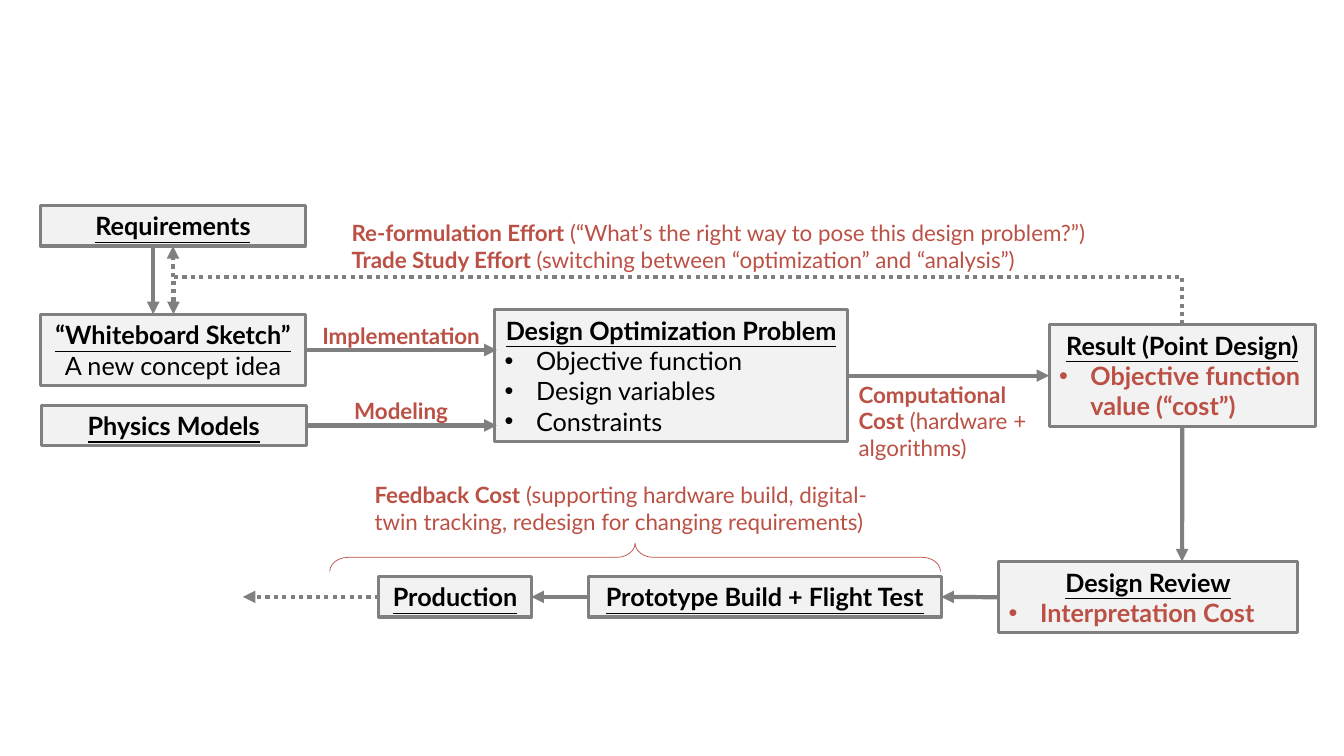
from lxml import etree
from pptx import Presentation
from pptx import util as u
from pptx.dml.color import RGBColor
from pptx.enum import dml, shapes, text
from pptx.oxml.ns import qn

COLORS = {"box": "F2F2F2", "line": "808080", "ink": "000000", "cost": "BB5045"}
FONT = "Lato"
TOP, LEFT, BOTTOM, RIGHT = range(4)


def color(name):
    return RGBColor.from_string(COLORS[name])


def style_run(run, size, ink, bold=False, underline=False):
    run.font.name = FONT
    run.font.size = u.Pt(size)
    run.font.bold = bold
    run.font.underline = underline
    run.font.color.rgb = color(ink)


def add_bullet(paragraph):
    properties = paragraph._p.get_or_add_pPr()
    properties.set("marL", str(u.Cm(0.79)))
    properties.set("indent", str(-u.Cm(0.79)))
    etree.SubElement(properties, qn("a:buFont")).set("typeface", "Arial")
    etree.SubElement(properties, qn("a:buChar")).set("char", "•")


def add_box(slide, place, title, details=(), bulleted=True, cost=False):
    """Draw a process step: an underlined title over its detail lines."""
    box = slide.shapes.add_shape(shapes.MSO_SHAPE.RECTANGLE, *map(u.Cm, place))
    box.shadow.inherit = False
    box.fill.solid()
    box.fill.fore_color.rgb = color("box")
    box.line.color.rgb = color("line")
    box.line.width = u.Pt(2.25)
    frame = box.text_frame
    frame.word_wrap = True
    frame.vertical_anchor = text.MSO_ANCHOR.MIDDLE
    frame.text = "\n".join([title, *details])
    heading, *rest = frame.paragraphs
    heading.alignment = text.PP_ALIGN.CENTER
    style_run(heading.runs[0], 18, "ink", bold=True, underline=True)
    for detail in rest:
        detail.alignment = text.PP_ALIGN.LEFT if bulleted else text.PP_ALIGN.CENTER
        if bulleted:
            add_bullet(detail)
        style_run(detail.runs[0], 18, "cost" if cost else "ink", bold=cost)
    return box


def add_label(slide, place, *lines, align=text.PP_ALIGN.LEFT):
    """Write cost notes; each line is a bold part and a plain part."""
    label = slide.shapes.add_textbox(*map(u.Cm, place))
    frame = label.text_frame
    frame.word_wrap = True
    for number, (strong, plain) in enumerate(lines):
        paragraph = frame.add_paragraph() if number else frame.paragraphs[0]
        paragraph.text = strong
        paragraph.alignment = align
        style_run(paragraph.runs[0], 16, "cost", bold=True)
        if plain:
            remark = paragraph.add_run()
            remark.text = plain
            style_run(remark, 16, "cost")


def style_arrow(arrow, dotted):
    arrow.line.color.rgb = color("line")
    arrow.line.width = u.Pt(3)
    if dotted:
        arrow.line.dash_style = dml.MSO_LINE.ROUND_DOT
    etree.SubElement(arrow.line._get_or_add_ln(), qn("a:tailEnd")).set("type", "triangle")
    etree.SubElement(arrow._element.spPr, qn("a:effectLst"))


def add_arrow(slide, start, end, source=None, target=None, dotted=False):
    """Draw a straight arrow; source and target are (box, side) joints."""
    arrow = slide.shapes.add_connector(
        shapes.MSO_CONNECTOR.STRAIGHT, *map(u.Cm, (*start, *end)))
    if source:
        arrow.begin_connect(*source)
    if target:
        arrow.end_connect(*target)
    style_arrow(arrow, dotted)


def add_return_path(slide, start, end, lane):
    """Draw a dotted arrow that rises to the lane, runs left and drops."""
    (x1, y1), (x2, y2) = start, end
    mid_x, mid_y = (x1 + x2) / 2, (y1 + y2) / 2
    rise, run = y1 - y2, x1 - x2
    # The elbow is laid out sideways about its centre, then turned upright.
    route = slide.shapes.add_connector(
        shapes.MSO_CONNECTOR.ELBOW,
        u.Cm(mid_x - rise / 2), u.Cm(mid_y + run / 2),
        u.Cm(mid_x + rise / 2), u.Cm(mid_y - run / 2))
    properties = route._element.spPr
    properties.find(qn("a:xfrm")).set("rot", str(270 * 60000))
    geometry = properties.find(qn("a:prstGeom"))
    guides = geometry.find(qn("a:avLst"))
    if guides is None:
        guides = etree.SubElement(geometry, qn("a:avLst"))
    bend = etree.SubElement(guides, qn("a:gd"))
    bend.set("name", "adj1")
    bend.set("fmla", f"val {round((y1 - lane) / rise * 100000)}")
    style_arrow(route, dotted=True)


def add_brace(slide, place):
    brace = slide.shapes.add_shape(shapes.MSO_SHAPE.LEFT_BRACE, *map(u.Cm, place))
    brace.shadow.inherit = False
    brace.rotation = 90
    brace.adjustments[0] = 0.65
    brace.adjustments[1] = 0.5
    brace.fill.background()
    brace.line.color.rgb = color("cost")
    brace.line.width = u.Pt(0.5)


def main():
    deck = Presentation()
    deck.slide_width, deck.slide_height = u.Cm(33.87), u.Cm(19.05)
    slide = deck.slides.add_slide(deck.slide_layouts[6])

    requirements = add_box(slide, (1.02, 5.18, 6.68, 1.02), "Requirements")
    sketch = add_box(slide, (1.02, 7.92, 6.68, 1.8), "“Whiteboard Sketch”",
                     ["A new concept idea"], bulleted=False)
    physics = add_box(slide, (1.04, 10.21, 6.68, 1.02), "Physics Models")
    problem = add_box(slide, (12.47, 7.8, 8.89, 3.33), "Design Optimization Problem",
                      ["Objective function", "Design variables", "Constraints"])
    result = add_box(slide, (26.44, 8.18, 6.71, 2.57), "Result (Point Design)",
                     ["Objective function value (“cost”)"], cost=True)
    review = add_box(slide, (25.17, 14.15, 7.52, 1.8), "Design Review",
                     ["Interpretation Cost"], cost=True)
    prototype = add_box(slide, (14.83, 14.53, 8.89, 1.02), "Prototype Build + Flight Test")
    production = add_box(slide, (9.55, 14.53, 3.84, 1.02), "Production")

    add_arrow(slide, (3.86, 6.2), (3.86, 7.92))
    add_arrow(slide, (7.7, 8.82), (12.52, 8.82), (sketch, RIGHT))
    add_arrow(slide, (7.72, 10.72), (12.52, 10.72), (physics, RIGHT))
    add_arrow(slide, (21.36, 9.46), (26.44, 9.46), (problem, RIGHT), (result, LEFT))
    add_arrow(slide, (29.79, 10.75), (29.79, 14.15), (result, BOTTOM))
    add_arrow(slide, (25.17, 15.04), (23.72, 15.04), (review, LEFT), (prototype, RIGHT))
    add_arrow(slide, (14.83, 15.04), (13.39, 15.04), (prototype, LEFT), (production, RIGHT))
    add_arrow(slide, (9.55, 15.04), (6.12, 15.04), (production, LEFT), dotted=True)
    add_return_path(slide, (29.79, 8.18), (4.37, 7.92), lane=6.98)
    add_arrow(slide, (4.36, 6.98), (4.36, 6.2), target=(requirements, BOTTOM), dotted=True)

    centre = text.PP_ALIGN.CENTER
    add_label(slide, (7.42, 8, 5.38, 0.94), ("Implementation", ""), align=centre)
    add_label(slide, (7.42, 9.88, 5.38, 0.94), ("Modeling", ""), align=centre)
    add_label(slide, (8.61, 5.41, 22.43, 1.63),
              ("Re-formulation Effort",
               " (“What’s the right way to pose this design problem?”)"),
              ("Trade Study Effort ", "(switching between “optimization” and “analysis”)"))
    add_label(slide, (21.39, 9.47, 4.9, 2.3),
              ("Computational Cost", " (hardware + algorithms)"))
    add_label(slide, (9.19, 12.01, 13.54, 1.63),
              ("Feedback Cost", " (supporting hardware build, digital-twin tracking, "
                                "redesign for changing requirements)"))
    add_brace(slide, (15.65, 6.35, 0.71, 15.39))

    deck.save("out.pptx")


if __name__ == "__main__":
    main()
